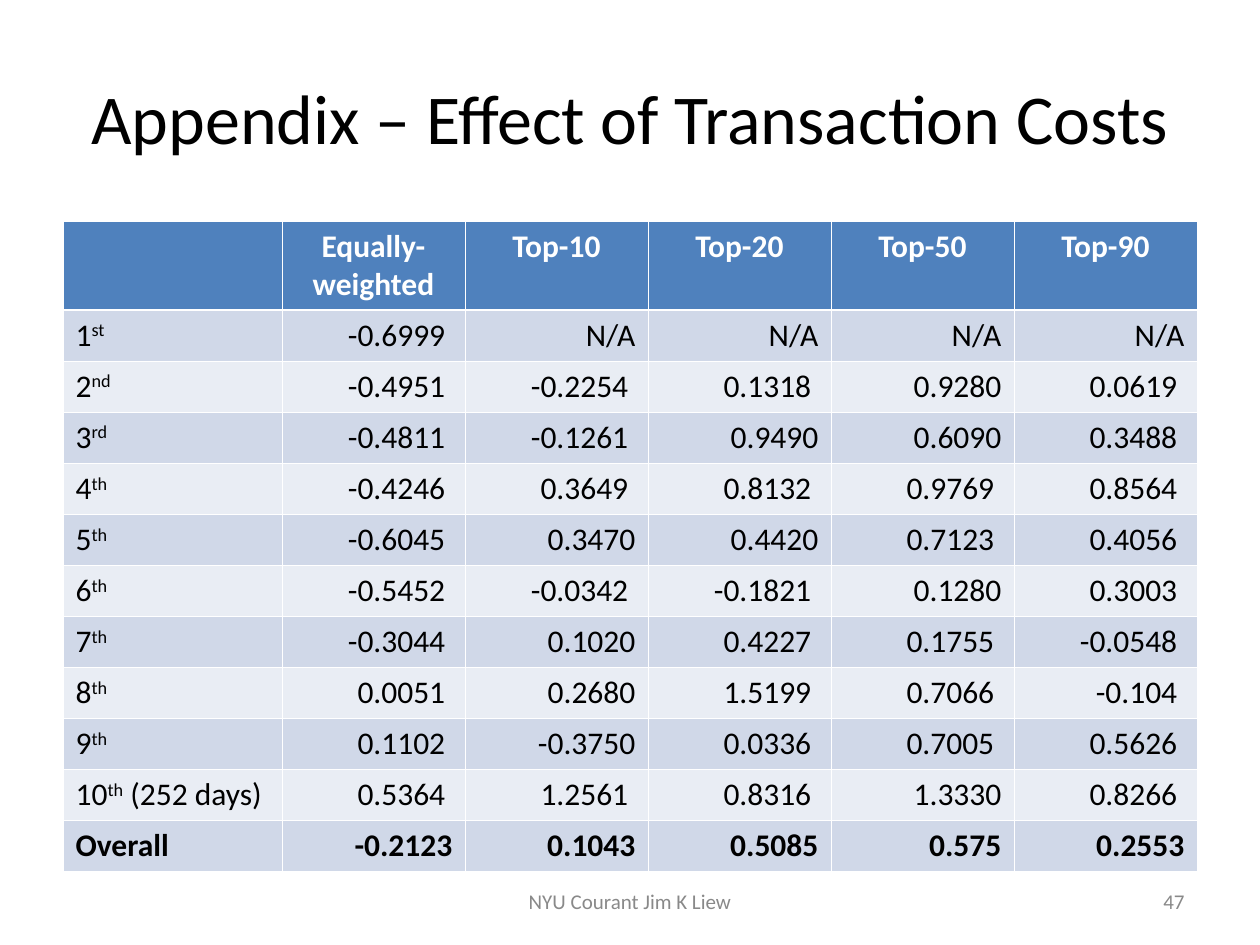
from lxml.etree import SubElement
from pptx import Presentation
from pptx.dml.color import RGBColor
from pptx.enum.text import MSO_ANCHOR as Anchor, PP_ALIGN as Align
from pptx.oxml.ns import qn
from pptx.util import Pt

EMU_PER_PX = 914400 / 126
FONT = "Calibri"
BLACK = RGBColor(0x00, 0x00, 0x00)
WHITE = RGBColor(0xFF, 0xFF, 0xFF)
GREY = RGBColor(0x89, 0x89, 0x89)
HEADER_BLUE = RGBColor(0x4F, 0x81, 0xBD)
BAND_FILLS = (RGBColor(0xD0, 0xD8, 0xE8), RGBColor(0xE9, 0xED, 0xF4))

THIN, THICK = 0.45, 1.47
FIRST_COLUMN, HEADER_HEIGHT = 219, 89

HEADERS = ("", "Equally-weighted", "Top-10", "Top-20", "Top-50", "Top-90")
# Text between carets is superscript.
RESULTS = (
    ("1^st", "-0.6999 ", "N/A", "N/A", "N/A", "N/A"),
    ("2^nd", "-0.4951 ", "-0.2254 ", "0.1318 ", "0.9280", "0.0619 "),
    ("3^rd", "-0.4811 ", "-0.1261 ", "0.9490", "0.6090", "0.3488 "),
    ("4^th", "-0.4246 ", "0.3649 ", "0.8132 ", "0.9769 ", "0.8564 "),
    ("5^th", "-0.6045 ", "0.3470", "0.4420", "0.7123 ", "0.4056 "),
    ("6^th", "-0.5452 ", "-0.0342 ", "-0.1821 ", "0.1280", "0.3003 "),
    ("7^th", "-0.3044 ", "0.1020", "0.4227 ", "0.1755 ", "-0.0548 "),
    ("8^th", "0.0051 ", "0.2680", "1.5199 ", "0.7066 ", "-0.104 "),
    ("9^th", "0.1102 ", "-0.3750", "0.0336 ", "0.7005 ", "0.5626 "),
    ("10^th^ (252 days)", "0.5364 ", "1.2561 ", "0.8316 ", "1.3330", "0.8266 "),
    ("Overall", "-0.2123", "0.1043", "0.5085", "0.575", "0.2553"),
)


def px(length):
    return round(length * EMU_PER_PX)


def write_text(frame, text, size=18, color=BLACK, bold=False, align=Align.LEFT):
    """Fill the first paragraph, raising the parts between carets."""
    paragraph = frame.paragraphs[0]
    paragraph.alignment = align
    for index, part in enumerate(text.split("^")):
        if not part:
            continue
        run = paragraph.add_run()
        run.text = part
        run.font.name = FONT
        run.font.size = Pt(size)
        run.font.bold = bold
        run.font.color.rgb = color
        if index % 2:
            run.font._element.set("baseline", "30000")


def add_text_box(slide, box, text, **text_format):
    frame = slide.shapes.add_textbox(*map(px, box)).text_frame
    frame.word_wrap = True
    frame.vertical_anchor = Anchor.MIDDLE
    write_text(frame, text, **text_format)


def style_cell(cell, fill, top=THIN, bottom=THIN):
    """Give the cell white borders and a solid fill."""
    properties = cell._tc.get_or_add_tcPr()
    widths = {"a:lnL": THIN, "a:lnR": THIN, "a:lnT": top, "a:lnB": bottom}
    for tag, width in widths.items():
        line = SubElement(properties, qn(tag), w=str(Pt(width)))
        line_fill = SubElement(line, qn("a:solidFill"))
        SubElement(line_fill, qn("a:srgbClr"), val=str(WHITE))
    cell.fill.solid()
    cell.fill.fore_color.rgb = fill


def add_results_table(slide, box):
    left, top, width, height = box
    table = slide.shapes.add_table(
        len(RESULTS) + 1, len(HEADERS), *map(px, box)
    ).table
    table.first_row = table.horz_banding = False

    value_width = (width - FIRST_COLUMN) / (len(HEADERS) - 1)
    for index, column in enumerate(table.columns):
        column.width = px(value_width if index else FIRST_COLUMN)
    row_height = (height - HEADER_HEIGHT) / len(RESULTS)
    for index, row in enumerate(table.rows):
        row.height = px(row_height if index else HEADER_HEIGHT)

    for column, header in enumerate(HEADERS):
        cell = table.cell(0, column)
        style_cell(cell, HEADER_BLUE, bottom=THICK)
        write_text(cell.text_frame, header, color=WHITE, bold=True,
                   align=Align.CENTER)
    for row, values in enumerate(RESULTS, 1):
        for column, value in enumerate(values):
            cell = table.cell(row, column)
            style_cell(cell, BAND_FILLS[(row - 1) % 2],
                       top=THICK if row == 1 else THIN)
            write_text(cell.text_frame, value, bold=row == len(RESULTS),
                       align=Align.RIGHT if column else Align.LEFT)


def add_footer(slide, box):
    """Centre the author line and put the page number at the right."""
    left, top, width, height = box
    author_width, number_width = 400, 294
    add_text_box(slide, (left + (width - author_width) / 2, top, author_width, height),
                 "NYU Courant Jim K Liew", size=12, color=GREY, align=Align.CENTER)
    add_text_box(slide, (left + width - number_width, top, number_width, height),
                 "47", size=12, color=GREY, align=Align.RIGHT)


def main():
    presentation = Presentation()
    presentation.slide_width, presentation.slide_height = px(1260), px(945)
    slide = presentation.slides.add_slide(presentation.slide_layouts[6])
    add_text_box(slide, (63, 38, 1134, 158), "Appendix – Effect of Transaction Costs",
                 size=40, align=Align.CENTER)
    add_results_table(slide, (63, 221, 1134, 651))
    add_footer(slide, (63, 876, 1134, 50))
    presentation.save("out.pptx")


if __name__ == "__main__":
    main()
